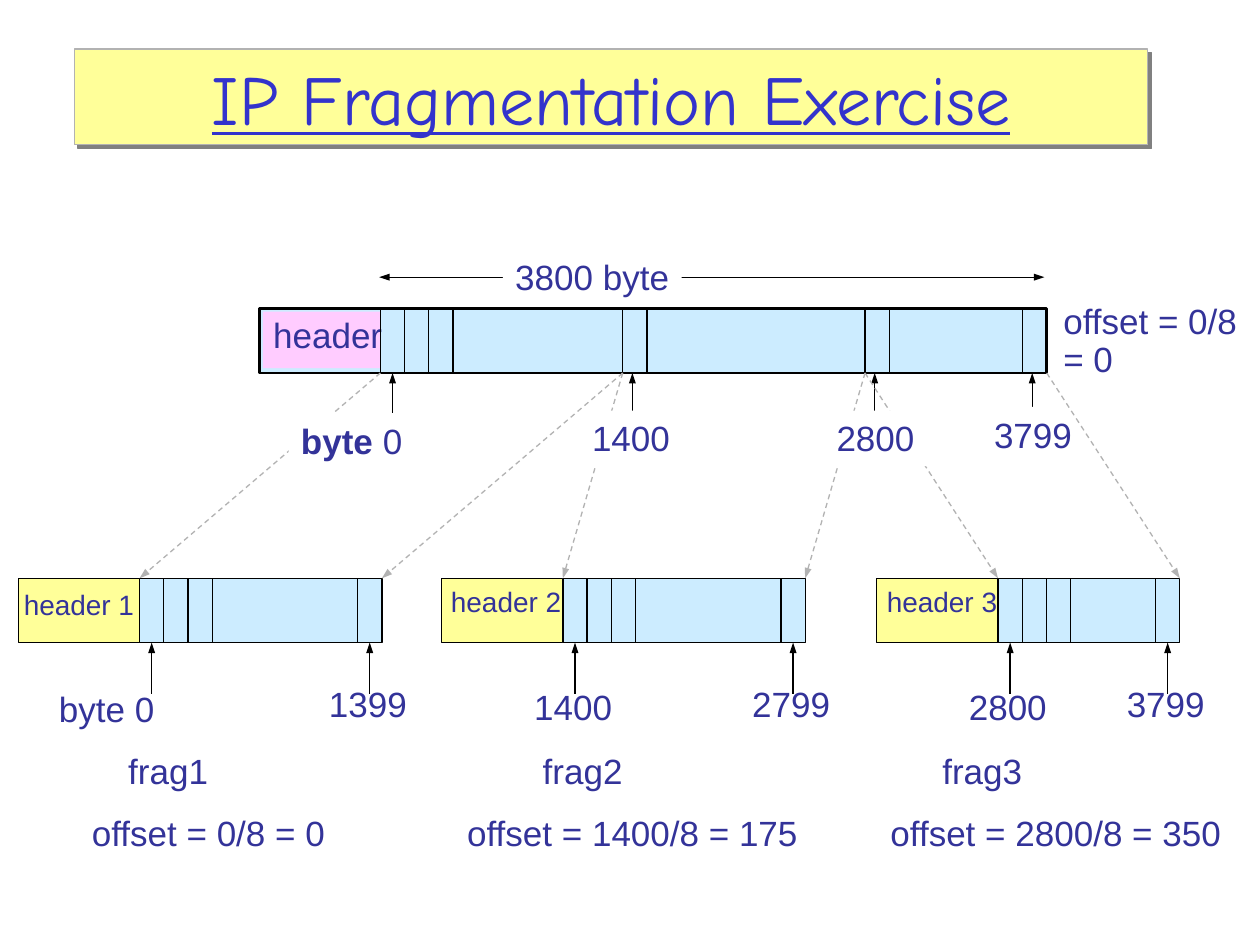
from dataclasses import dataclass
import math

import lxml.etree
import pptx
import pptx.dml.color
import pptx.enum.dml
import pptx.enum.shapes
import pptx.enum.text
import pptx.oxml.ns
import pptx.util

WIDTH, HEIGHT = 10, 7.5
COLUMNS, ROWS = 52, 100
HEADER_COLS, BAR_ROWS = 5, 6.8
DATAGRAM_COL, DATAGRAM_ROW, FRAGMENT_ROW = 10.7, 32.67, 61.2
BYTES_PER_COL = 140
POINTER_ROWS, LABEL_ROWS = 5.4, 5.87


@dataclass(frozen=True)
class Theme:
    text: str = "333399"
    title: str = "3333CC"
    ink: str = "000000"
    paper: str = "FFFFFF"
    payload: str = "CCECFF"
    header: str = "FFCCFF"
    highlight: str = "FFFF99"
    grey: str = "B2B2B2"
    shadow: str = "808080"
    font: str = "Arial"
    title_font: str = "Comic Neue"
    title_size: float = 40
    body_size: float = 20
    small_size: float = 16
    thin: float = 0.75
    thick: float = 1.5


THEME = Theme()


@dataclass(frozen=True)
class Label:
    """Text whose box is placed in grid columns and rows."""
    text: str
    col: float
    row: float
    cols: float
    size: float = THEME.body_size
    fill: str | None = None
    bold_lead: str = ""


@dataclass(frozen=True)
class Fragment:
    number: int
    col: float
    first: int
    last: int
    header_text: tuple[float, float]
    first_label: Label
    name_col: float
    offset: Label

    @property
    def payload_col(self) -> float:
        return self.col + HEADER_COLS

    @property
    def payload_cols(self) -> float:
        """Payload width, rounded up to half a column."""
        return math.ceil(2 * (self.last + 1 - self.first) / BYTES_PER_COL) / 2


FRAGMENTS = (
    Fragment(1, 0.76, 0, 1399, (0.47, 61.47), Label("byte 0", 1.92, 72.13, 5),
             4.78, Label("offset = 0/8 = 0", 3.28, 85.2, 10.66)),
    Fragment(2, 18.23, 1400, 2799, (18.1, 61.2), Label("1400", 21.53, 71.87, 4.26),
             21.89, Label("offset = 1400/8 = 175", 18.77, 85.2, 14.72)),
    Fragment(3, 36.19, 2800, 3799, (36.09, 61.2), Label("2800", 39.47, 71.87, 4.26),
             38.38, Label("offset = 2800/8 = 350", 36.24, 85.2, 14.72)),
)
BYTE_MARKS = (
    Label("1400", 23.92, 43.47, 4.26, fill=THEME.paper),
    Label("2800", 34.01, 43.47, 4.26, fill=THEME.paper),
    Label("0", 11.91, 43.73, 5.2, fill=THEME.paper, bold_lead="byte "),
)
LAST_MARK = Label("3799", 40.51, 43.07, 4.26, fill=THEME.paper)


def x(col: float) -> int:
    return pptx.util.Inches(col * WIDTH / COLUMNS)


def y(row: float) -> int:
    return pptx.util.Inches(row * HEIGHT / ROWS)


def rgb(value: str) -> pptx.dml.color.RGBColor:
    return pptx.dml.color.RGBColor.from_string(value)


def draw_box(slide, col: float, row: float, cols: float, rows: float, fill: str,
             line: str | None = None, weight: float = THEME.thin):
    box = slide.shapes.add_shape(pptx.enum.shapes.MSO_SHAPE.RECTANGLE,
                                 x(col), y(row), x(cols), y(rows))
    box.shadow.inherit = False
    box.fill.solid()
    box.fill.fore_color.rgb = rgb(fill)
    if line:
        box.line.color.rgb = rgb(line)
        box.line.width = pptx.util.Pt(weight)
    else:
        box.line.fill.background()
    return box


def add_run(paragraph, text: str, size: float, color: str = THEME.text,
            font: str = THEME.font, bold: bool = False):
    run = paragraph.add_run()
    run.text = text
    run.font.name, run.font.size, run.font.bold = font, pptx.util.Pt(size), bold
    run.font.color.rgb = rgb(color)
    return run


def draw_label(slide, label: Label) -> None:
    lines = label.text.split("\n")
    box = slide.shapes.add_textbox(x(label.col), y(label.row), x(label.cols),
                                   y(LABEL_ROWS * len(lines) * label.size / THEME.body_size))
    if label.fill:
        box.fill.solid()
        box.fill.fore_color.rgb = rgb(label.fill)
    frame = box.text_frame
    frame.word_wrap = False
    frame.auto_size = pptx.enum.text.MSO_AUTO_SIZE.NONE
    frame.margin_right = 0
    for index, line in enumerate(lines):
        paragraph = frame.add_paragraph() if index else frame.paragraphs[0]
        if index:
            paragraph.line_spacing = 0.9
        if label.bold_lead:
            add_run(paragraph, label.bold_lead, label.size, bold=True)
        add_run(paragraph, line, label.size)


def draw_line(slide, start: tuple[float, float], end: tuple[float, float],
              color: str = THEME.ink, heads: tuple[str, ...] = (), dashed: bool = False) -> None:
    """Draw a line; heads lists the ends that carry arrowheads."""
    line = slide.shapes.add_connector(pptx.enum.shapes.MSO_CONNECTOR.STRAIGHT,
                                      x(start[0]), y(start[1]), x(end[0]), y(end[1]))
    line.line.color.rgb = rgb(color)
    line.line.width = pptx.util.Pt(THEME.thin)
    if dashed:
        line.line.dash_style = pptx.enum.dml.MSO_LINE.DASH
    outline = line.line._get_or_add_ln()
    for head in heads:
        lxml.etree.SubElement(outline, pptx.oxml.ns.qn(f"a:{head}"), type="triangle", w="sm")
    lxml.etree.SubElement(line._element.spPr, pptx.oxml.ns.qn("a:effectLst"))


def draw_dividers(slide, payload_col: float, row: float, offsets: tuple[float, ...]) -> None:
    for offset in offsets:
        draw_line(slide, (payload_col + offset, row), (payload_col + offset, row + BAR_ROWS))


def draw_pointer(slide, col: float, bar_row: float) -> None:
    """Draw an arrow up to the bottom of a bar."""
    bottom = bar_row + BAR_ROWS
    draw_line(slide, (col, bottom + POINTER_ROWS), (col, bottom), heads=("tailEnd",))


def draw_title(slide) -> None:
    banner = draw_box(slide, 3.07, 5.2, 44.3, 10.13, THEME.highlight, THEME.grey)
    effects = banner._element.spPr.find(pptx.oxml.ns.qn("a:effectLst"))
    shadow = lxml.etree.SubElement(effects, pptx.oxml.ns.qn("a:outerShdw"),
                                   dist=str(pptx.util.Pt(2.8)), dir="2700000", algn="ctr")
    lxml.etree.SubElement(shadow, pptx.oxml.ns.qn("a:srgbClr"), val=THEME.shadow)
    banner.text_frame.vertical_anchor = pptx.enum.text.MSO_ANCHOR.MIDDLE
    paragraph = banner.text_frame.paragraphs[0]
    paragraph.alignment = pptx.enum.text.PP_ALIGN.CENTER
    run = add_run(paragraph, "IP Fragmentation Exercise", THEME.title_size,
                  THEME.title, THEME.title_font)
    run.font.underline = True


def draw_datagram(slide) -> None:
    payload = DATAGRAM_COL + HEADER_COLS
    cols = sum(fragment.payload_cols for fragment in FRAGMENTS)
    draw_box(slide, DATAGRAM_COL, DATAGRAM_ROW, HEADER_COLS + cols, BAR_ROWS,
             THEME.payload, THEME.ink, THEME.thick)
    draw_box(slide, DATAGRAM_COL + 0.15, DATAGRAM_ROW + 0.3, HEADER_COLS - 0.15, 6, THEME.header)
    draw_label(slide, Label("header", 10.76, 32.53, 5.51))
    draw_dividers(slide, payload, DATAGRAM_ROW, (0, 1, 2, 3, 10, 11, 20, 21, cols - 1))
    for offset in (0.5, 10.4, 20.4, cols - 0.6):
        draw_pointer(slide, payload + offset, DATAGRAM_ROW)
    draw_line(slide, (payload - 0.05, 29.33), (payload + cols - 0.1, 29.33),
              heads=("headEnd", "tailEnd"))
    draw_label(slide, Label("3800 byte", 20.75, 26.4, 7.38, fill=THEME.paper))
    draw_label(slide, Label("offset = 0/8\n= 0", 43.37, 31.07, 8.22))
    draw_label(slide, LAST_MARK)


def draw_fragment(slide, fragment: Fragment) -> None:
    payload, cols = fragment.payload_col, fragment.payload_cols
    draw_box(slide, payload, FRAGMENT_ROW, cols, BAR_ROWS, THEME.payload, THEME.ink)
    draw_box(slide, fragment.col, FRAGMENT_ROW, HEADER_COLS, BAR_ROWS, THEME.highlight, THEME.ink)
    draw_dividers(slide, payload, FRAGMENT_ROW, (1, 2, 3, cols - 1))
    source = DATAGRAM_COL + HEADER_COLS + fragment.first / BYTES_PER_COL
    for edge in (0, cols):
        draw_line(slide, (source + edge, DATAGRAM_ROW + BAR_ROWS), (payload + edge, FRAGMENT_ROW),
                  THEME.grey, ("tailEnd",), dashed=True)
    for offset in (0.5, cols - 0.5):
        draw_pointer(slide, payload + offset, FRAGMENT_ROW)
    draw_label(slide, Label(f"header {fragment.number}", *fragment.header_text, 5.56,
                            THEME.small_size))
    draw_label(slide, fragment.first_label)
    draw_label(slide, Label(str(fragment.last), payload + cols - 2.7, 71.6, 4.26))
    draw_label(slide, Label(f"frag{fragment.number}", fragment.name_col, 78.67, 4.32))
    draw_label(slide, fragment.offset)


def main() -> None:
    deck = pptx.Presentation()
    deck.slide_width, deck.slide_height = x(COLUMNS), y(ROWS)
    slide = deck.slides.add_slide(deck.slide_layouts[6])
    draw_title(slide)
    draw_datagram(slide)
    for fragment in FRAGMENTS:
        draw_fragment(slide, fragment)
    for mark in BYTE_MARKS:
        draw_label(slide, mark)
    deck.save("out.pptx")


if __name__ == "__main__":
    main()
